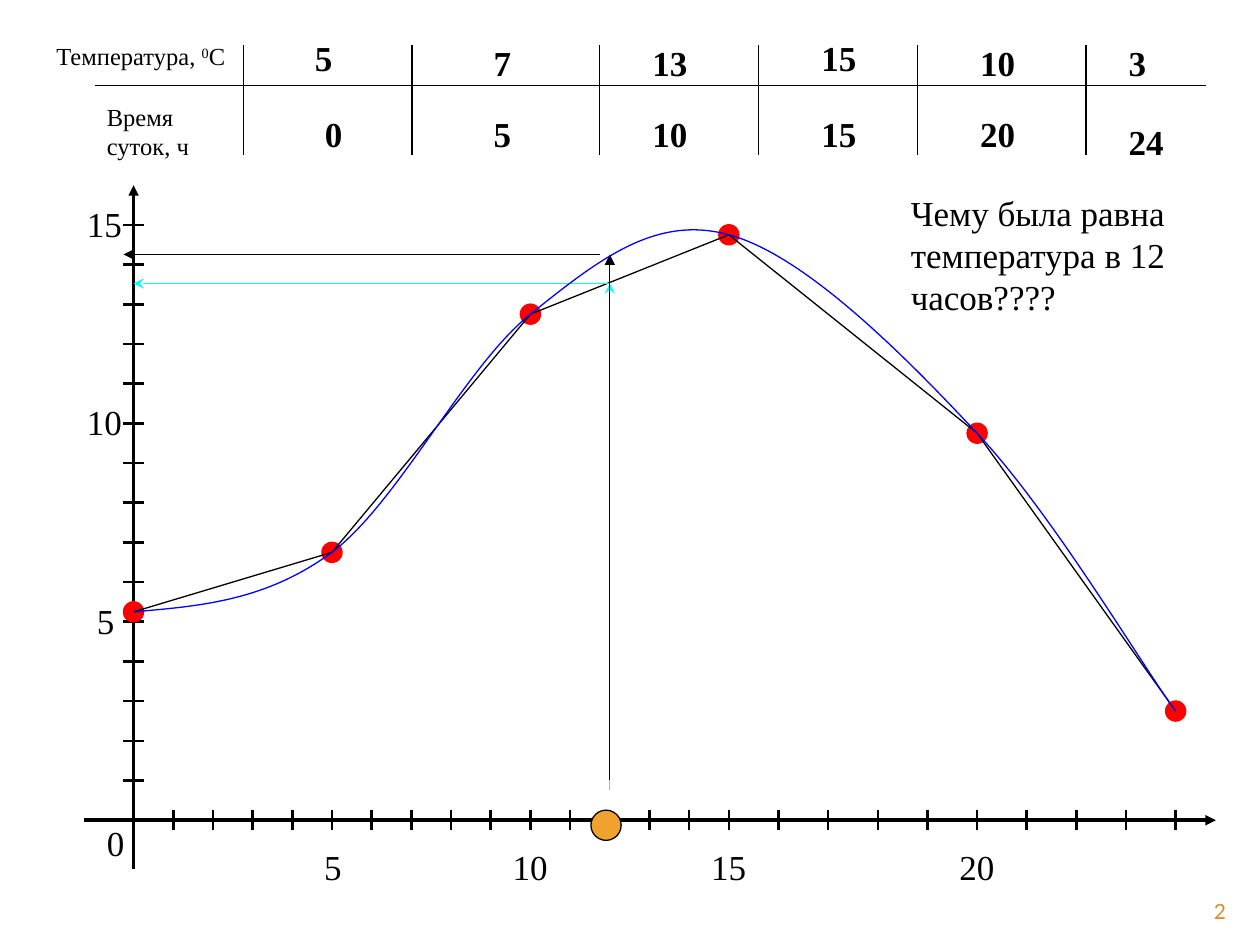
import pptx
import pptx.util
import pptx.dml.color
import pptx.enum.shapes
import pptx.enum.text
import pptx.oxml
import pptx.oxml.ns
from lxml import etree

Inches = pptx.util.Inches
Pt = pptx.util.Pt
RGBColor = pptx.dml.color.RGBColor
qn = pptx.oxml.ns.qn

BLACK = RGBColor(0x00, 0x00, 0x00)
RED = RGBColor(0xFF, 0x00, 0x00)
BLUE = RGBColor(0x00, 0x00, 0xFF)
CYAN = RGBColor(0x00, 0xFF, 0xFF)
ORANGE = RGBColor(0xF0, 0xA2, 0x2E)
OCHRE = RGBColor(0xD4, 0x8F, 0x29)


def add_line(shapes, x1, y1, x2, y2, color=BLACK, width=0.75, arrow=None):
    c = shapes.add_connector(pptx.enum.shapes.MSO_CONNECTOR.STRAIGHT,
                             Inches(x1), Inches(y1), Inches(x2), Inches(y2))
    c.line.color.rgb = color
    c.line.width = Pt(width)
    if arrow:
        etree.SubElement(c.line._get_or_add_ln(), qn("a:tailEnd"), type=arrow)
    etree.SubElement(c._element.spPr, qn("a:effectLst"))


def add_text(shapes, x, y, w, h, text, size=20, bold=False, font="Times New Roman", color=BLACK):
    sp = shapes.add_textbox(Inches(x), Inches(y), Inches(w), Inches(h))
    tf = sp.text_frame
    tf.word_wrap = True
    p = tf.paragraphs[0]
    for part in [text] if isinstance(text, str) else text:
        r = p.add_run()
        r.text = part
        r.font.size = Pt(size)
        r.font.bold = bold
        r.font.name = font
        r.font.color.rgb = color
    return p


prs = pptx.Presentation()
prs.slide_width = Inches(10)
prs.slide_height = Inches(7.5)
s = prs.slides.add_slide(prs.slide_layouts[6])

add_line(s.shapes, 0.75, 0.68, 9.57, 0.68)
for x in (1.93, 3.27, 4.76, 6.02, 7.28, 8.62):
    add_line(s.shapes, x, 0.36, x, 1.23)

p = add_text(s.shapes, 0.35, 0.28, 1.73, 0.33, ["Температура, ", "0", "С"], 14)
p.runs[1].font._element.set("baseline", "30000")
add_text(s.shapes, 0.75, 0.76, 0.94, 0.57, "Время суток, ч", 14)

table_cells = [
    (2.48, 0.84, "0"), (3.82, 0.84, "5"), (5.08, 0.84, "10"),
    (6.42, 0.84, "15"), (7.68, 0.84, "20"), (8.86, 0.91, "24"),
    (2.40, 0.24, "5"), (3.82, 0.28, "7"), (5.08, 0.28, "13"),
    (6.42, 0.24, "15"), (7.68, 0.28, "10"), (8.86, 0.28, "3"),
]
for x, y, text in table_cells:
    add_text(s.shapes, x, y, 0.39 if len(text) == 1 else 0.6, 0.43, text, bold=True)

X0, Y0, STEP, WIDE_STEP = 1.06, 6.51, 0.315, 0.394
hour_x = [X0 + STEP * min(h, 15) + WIDE_STEP * max(h - 15, 0) for h in range(25)]

axes = s.shapes.add_group_shape().shapes
add_line(axes, X0, 6.9, X0, 1.47, width=2, arrow="triangle")
add_line(axes, 0.67, Y0, 9.65, Y0, width=2, arrow="triangle")
for x in hour_x[1:]:
    add_line(axes, x, Y0 - 0.08, x, Y0 + 0.08, width=1.5)
for t in range(1, 16):
    y = Y0 - STEP * t
    add_line(axes, X0 - 0.08, y, X0 + 0.08, y, width=1.5)
for h in (5, 10, 15, 20):
    add_text(axes, hour_x[h] - (0.16 if h < 10 else 0.24), 6.66, 0.55, 0.43, str(h))
for t, x in ((5, 0.67), (10, 0.59), (15, 0.59)):
    add_text(axes, x, Y0 - STEP * t - 0.23, 0.55, 0.43, str(t))
add_text(axes, 0.75, 6.47, 0.39, 0.43, "0")

readings = [(0, 5.25), (5, 6.75), (10, 12.75), (15, 14.75), (20, 9.75), (24, 2.75)]
points = [(hour_x[h], Y0 - STEP * t) for h, t in readings]
dots = [(x - 0.08, y - 0.08, 0.16, RED, RED) for x, y in points]
dots.append((4.69, 6.43, 0.24, ORANGE, BLACK))
for x, y, d, fill, line in dots:
    sp = s.shapes.add_shape(pptx.enum.shapes.MSO_SHAPE.OVAL,
                            Inches(x), Inches(y), Inches(d), Inches(d))
    sp.shadow.inherit = False
    sp.fill.solid()
    sp.fill.fore_color.rgb = fill
    sp.line.color.rgb = line
    sp.line.width = Pt(0.75)
for (x1, y1), (x2, y2) in zip(points, points[1:]):
    add_line(s.shapes, x1, y1, x2, y2)

add_text(s.shapes, 7.13, 1.47, 2.52, 1.1, "Чему была равна температура в 12 часов????")

noon = hour_x[12]
add_line(s.shapes, noon, 6.27, noon, 2.25, CYAN, arrow="stealth")
add_line(s.shapes, noon, 2.25, X0, 2.25, CYAN, arrow="stealth")
add_line(s.shapes, noon, 6.19, noon, 2.02, arrow="triangle")
add_line(s.shapes, 4.76, 2.02, 0.98, 2.02, arrow="triangle")

handles = [
    [(1.59, 4.81), (2.11, 4.77)], [(3.16, 3.99), (3.69, 2.91)],
    [(4.74, 2.07), (5.20, 1.70)], [(6.38, 2.02), (7.17, 2.81)],
    [(8.35, 4.07), (9.07, 5.29)],
]
curve = [pt for pair, end in zip(handles, points[1:]) for pt in pair + [end]]
fb = s.shapes.build_freeform(Inches(points[0][0]), Inches(points[0][1]))
fb.add_line_segments([(Inches(x), Inches(y)) for x, y in curve], close=False)
sp = fb.convert_to_shape()
sp.shadow.inherit = False
sp.fill.background()
sp.line.color.rgb = BLUE
sp.line.width = Pt(0.75)
segments = list(sp._element.iter(qn("a:lnTo")))
for i in range(0, len(segments), 3):
    bezier = etree.SubElement(segments[i].getparent(), qn("a:cubicBezTo"))
    for seg in segments[i:i + 3]:
        bezier.append(seg[0])
        seg.getparent().remove(seg)

p = add_text(s.shapes, 9, 7.08, 0.83, 0.27, "2", 12, font="Lato", color=OCHRE)
p.alignment = pptx.enum.text.PP_ALIGN.RIGHT

prs.save("out.pptx")
